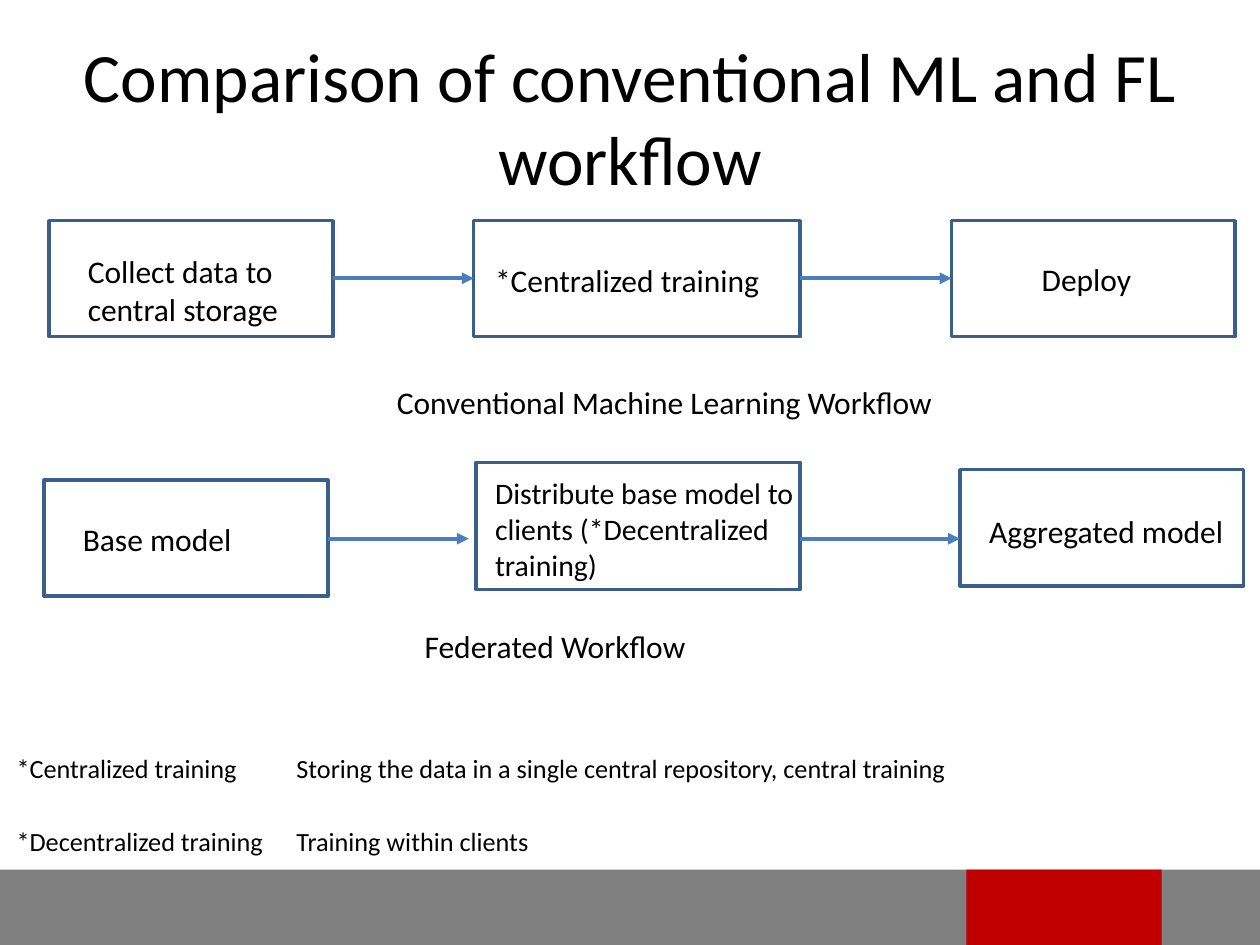
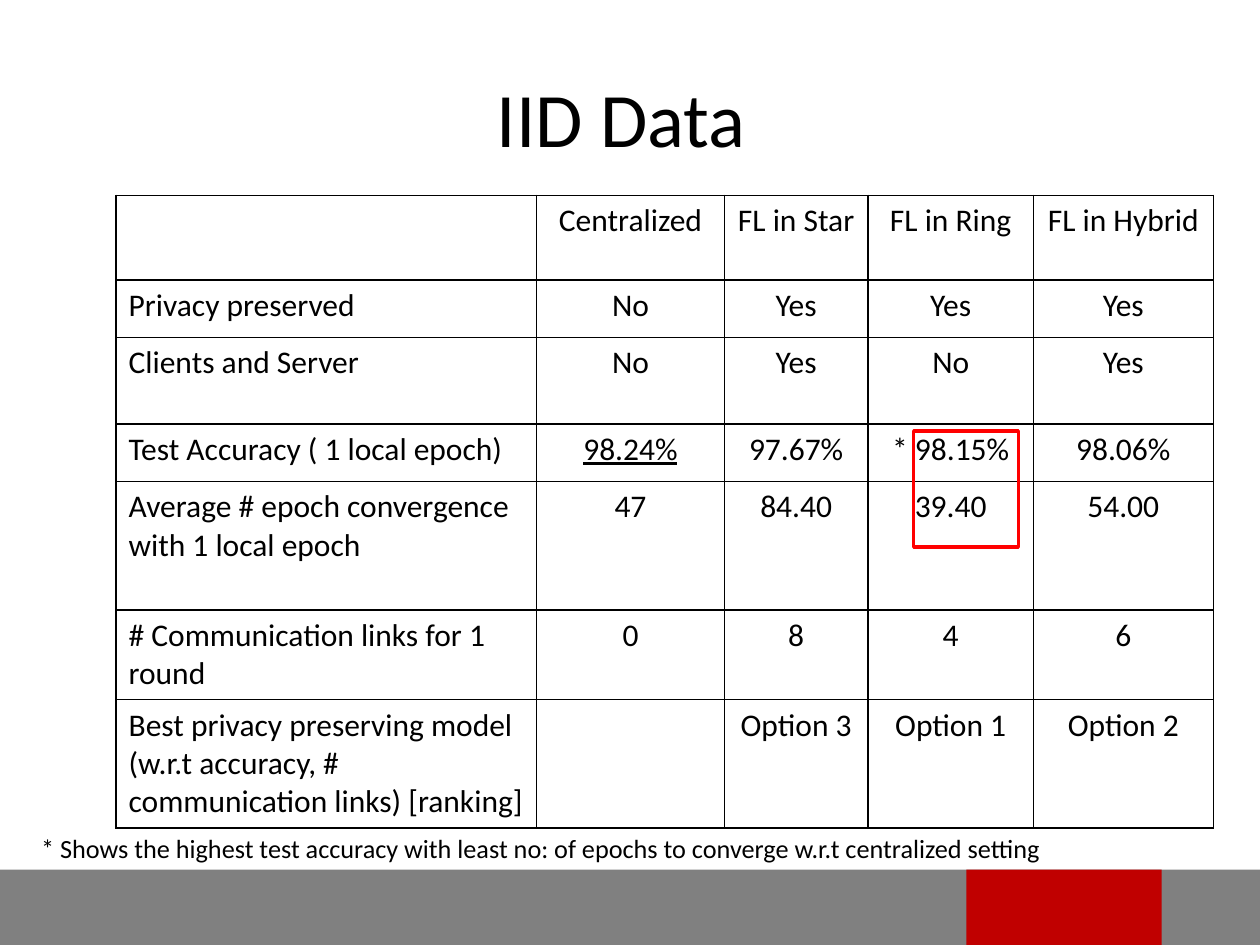
"""Build two slides that compare conventional and federated learning."""
from dataclasses import dataclass
from itertools import pairwise

from lxml.etree import SubElement
from pptx import Presentation
from pptx.dml.color import RGBColor as Rgb
from pptx.enum.shapes import MSO_CONNECTOR as Connector, MSO_SHAPE as Preset
from pptx.enum.text import MSO_ANCHOR as Anchor, MSO_AUTO_SIZE as AutoSize, PP_ALIGN as Align
from pptx.oxml.ns import qn
from pptx.util import Cm, Pt


@dataclass(frozen=True)
class Theme:
    font: str = "Calibri"
    ink: str = "000000"
    band: str = "808080"
    accent: str = "C00000"
    outline: str = "3A5F8C"
    arrow: str = "4B7EBC"
    highlight: str = "FF0000"
    title: float = 44
    long_title: float = 39.6
    body: float = 18
    dense: float = 17
    note: float = 15
    outline_width: float = 2
    arrow_width: float = 2.25
    grid_width: float = 1


@dataclass(frozen=True)
class Step:
    text: str
    box: tuple
    label: tuple
    size: float = Theme.body
    gap: float = 0


class Deck:
    def __init__(self, theme):
        self.theme = theme
        self.presentation = Presentation()
        self.presentation.slide_width = Cm(25.4)
        self.presentation.slide_height = Cm(19.05)
        self.slide = None

    def style_text(self, frame, text, size, align=Align.LEFT):
        frame.text = text
        for paragraph in frame.paragraphs:
            paragraph.alignment = align
            for run in paragraph.runs:
                run.font.name = self.theme.font
                run.font.size = Pt(size)
                run.font.color.rgb = Rgb.from_string(self.theme.ink)

    def start(self, heading, size):
        self.slide = self.presentation.slides.add_slide(self.presentation.slide_layouts[5])
        title = self.slide.shapes.title
        title.left, title.top, title.width, title.height = map(Cm, (1.27, 0.76, 22.86, 3.18))
        title.text_frame.auto_size = AutoSize.NONE
        title.text_frame.vertical_anchor = Anchor.MIDDLE
        self.style_text(title.text_frame, heading, size, Align.CENTER)
        self.rectangle((0, 17.53, 25.4, 1.52), fill=self.theme.band)
        self.rectangle((19.48, 17.53, 3.94, 1.52), fill=self.theme.accent)

    def rectangle(self, place, fill=None, line=None):
        shape = self.slide.shapes.add_shape(Preset.RECTANGLE, *map(Cm, place))
        shape.shadow.inherit = False
        if fill:
            shape.fill.solid()
            shape.fill.fore_color.rgb = Rgb.from_string(fill)
        else:
            shape.fill.background()
        if line:
            shape.line.color.rgb = Rgb.from_string(line)
            shape.line.width = Pt(self.theme.outline_width)
        else:
            shape.line.fill.background()

    def label(self, text, place, size):
        frame = self.slide.shapes.add_textbox(*map(Cm, place)).text_frame
        frame.word_wrap = True
        frame.auto_size = AutoSize.SHAPE_TO_FIT_TEXT
        self.style_text(frame, text, size)

    def arrow(self, start, end, level):
        arrow = self.slide.shapes.add_connector(
            Connector.STRAIGHT, Cm(start), Cm(level), Cm(end), Cm(level))
        arrow.line.color.rgb = Rgb.from_string(self.theme.arrow)
        arrow.line.width = Pt(self.theme.arrow_width)
        properties = arrow.element.spPr
        SubElement(properties.find(qn("a:ln")), qn("a:tailEnd"), type="triangle")
        SubElement(properties, qn("a:effectLst"))

    def flow(self, steps, level):
        for step in steps:
            self.rectangle(step.box, line=self.theme.outline)
            self.label(step.text, step.label, step.size)
        for source, target in pairwise(steps):
            left, _, width, _ = source.box
            self.arrow(left + width, target.box[0] - target.gap, level)

    def border(self, cell):
        properties = cell._tc.get_or_add_tcPr()
        for side in ("lnL", "lnR", "lnT", "lnB"):
            edge = SubElement(properties, qn(f"a:{side}"), w=str(Pt(self.theme.grid_width)))
            paint = SubElement(edge, qn("a:solidFill"))
            SubElement(paint, qn("a:srgbClr"), val=self.theme.ink)

    def table(self, rows, corner, widths, heights, size, grid=False, value_align=Align.LEFT):
        extent = sum(widths), sum(heights)
        table = self.slide.shapes.add_table(
            len(rows), len(widths), *map(Cm, corner + extent)).table
        table.first_row = table.horz_banding = False
        for column, width in zip(table.columns, widths):
            column.width = Cm(width)
        for row, height, texts in zip(table.rows, heights, rows):
            row.height = Cm(height)
            for index, (cell, text) in enumerate(zip(row.cells, texts)):
                self.style_text(cell.text_frame, text, size, value_align if index else Align.LEFT)
                if grid:
                    self.border(cell)
                cell.fill.background()
        return table


CONVENTIONAL = (
    Step("Collect data to central storage", (0.99, 4.45, 5.72, 2.34), (1.52, 4.95, 5.28, 1.8)),
    Step("*Centralized training", (9.55, 4.45, 6.58, 2.34), (9.73, 5.13, 6.2, 1.02)),
    Step("Deploy", (19.18, 4.45, 5.72, 2.34), (20.75, 5.11, 5.28, 1.02)),
)
FEDERATED = (
    Step("Base model", (0.89, 9.68, 5.72, 2.34), (1.42, 10.36, 5.28, 1.02)),
    Step("Distribute base model to clients (*Decentralized training)",
         (9.6, 9.32, 6.53, 2.57), (9.73, 9.45, 6.55, 2.44), Theme.dense, 0.15),
    Step("Aggregated model", (19.35, 9.47, 5.72, 2.34), (19.69, 10.19, 5.28, 1.02)),
)
DEFINITIONS = (
    ("*Centralized training", "Storing the data in a single central repository, central training"),
    ("*Decentralized training", "Training within clients"),
)
RESULTS = (
    ("", "Centralized", "FL in Star", "FL in Ring", "FL in Hybrid"),
    ("Privacy preserved", "No", "Yes", "Yes", "Yes"),
    ("Clients and Server", "No", "Yes", "No", "Yes"),
    ("Test Accuracy ( 1 local epoch)", "98.24%", "97.67%", "* 98.15%", "98.06%"),
    ("Average # epoch convergence with 1 local epoch", "47", "84.40", "39.40", "54.00"),
    ("# Communication links for 1 round", "0", "8", "4", "6"),
    ("Best privacy preserving model (w.r.t accuracy, # communication links) [ranking]",
     "", "Option 3", "Option 1", "Option 2"),
)


def build_workflows(deck):
    theme = deck.theme
    deck.start("Comparison of conventional ML and FL workflow", theme.long_title)
    deck.flow(CONVENTIONAL, 5.61)
    deck.label("Conventional Machine Learning Workflow", (7.75, 7.59, 12.27, 1.02), theme.body)
    deck.flow(FEDERATED, 10.86)
    deck.label("Federated Workflow", (8.31, 12.52, 12.27, 1.02), theme.body)
    deck.table(DEFINITIONS, (0.08, 15.06), (5.64, 18.82), (1.47, 0.86), theme.note)


def build_results(deck):
    theme = deck.theme
    deck.start("IID Data ", theme.title)
    results = deck.table(
        RESULTS, (2.34, 3.94), (8.48, 3.78, 2.9, 3.33, 3.63),
        (1.7, 1.16, 1.75, 1.16, 2.59, 1.8, 2.59), theme.body,
        grid=True, value_align=Align.CENTER)
    best_accuracy = results.cell(3, 1).text_frame.paragraphs[0].runs[0]
    best_accuracy.font.underline = True
    deck.rectangle((18.42, 8.69, 2.11, 2.34), line=theme.highlight)
    deck.label(
        "* Shows the highest test accuracy with least no: of epochs to converge "
        "w.r.t centralized setting", (0.58, 16.66, 22.86, 0.89), theme.note)


def main():
    deck = Deck(Theme())
    build_workflows(deck)
    build_results(deck)
    deck.presentation.save("out.pptx")


if __name__ == "__main__":
    main()
